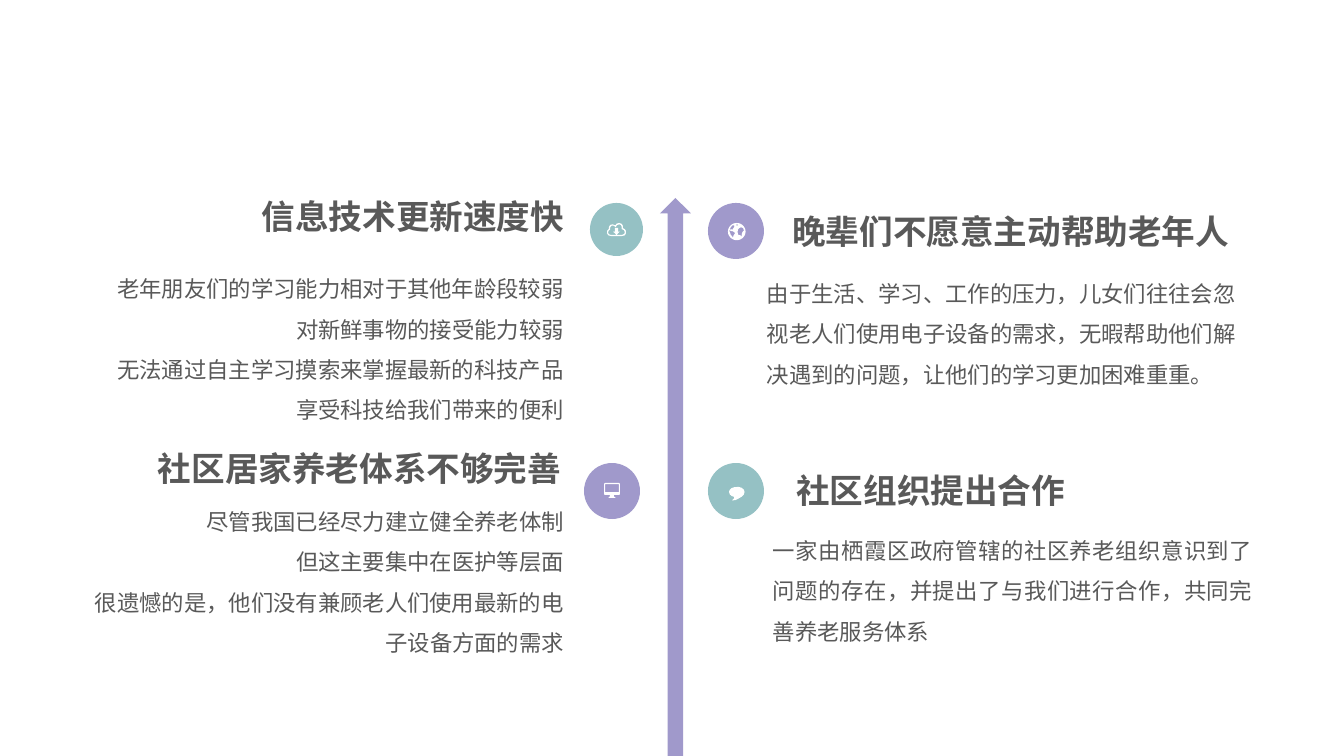
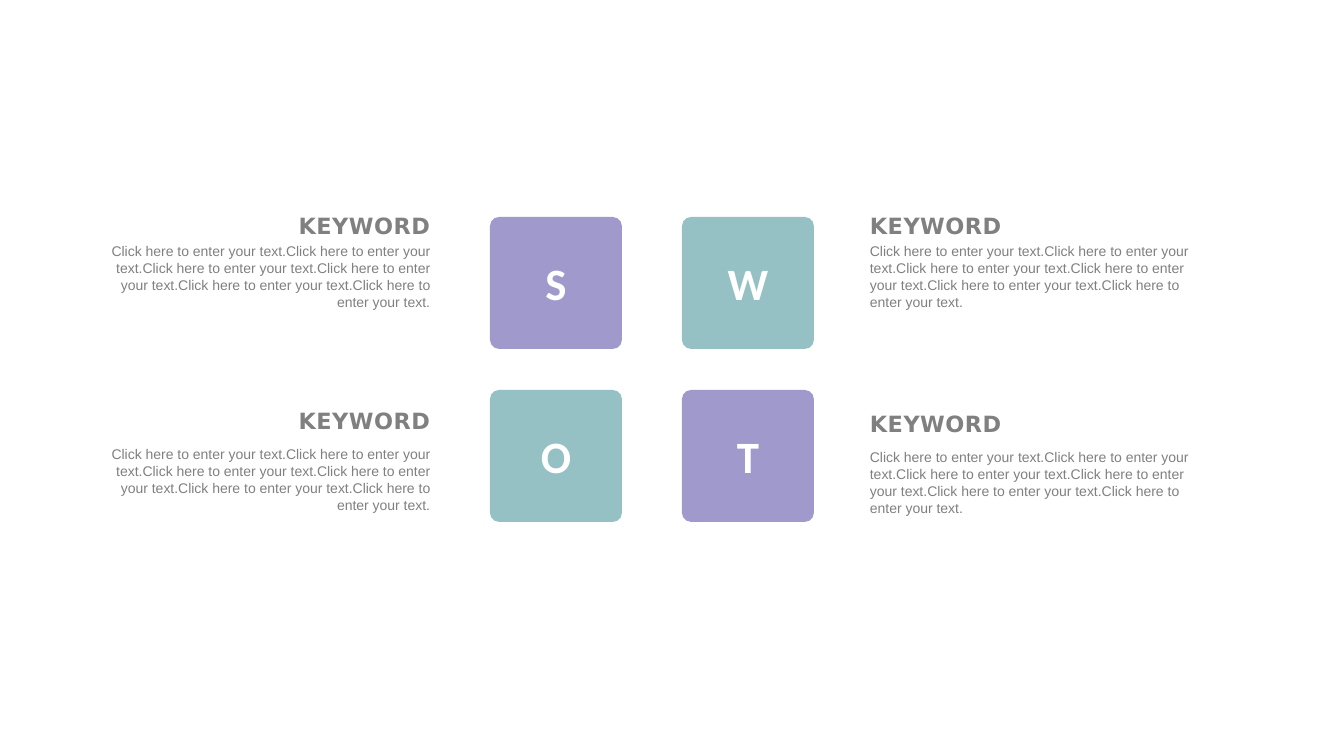
from math import cos, pi, sin

from lxml.etree import SubElement
from pptx import Presentation
from pptx.dml.color import RGBColor
from pptx.enum.shapes import MSO_SHAPE as SHAPE
from pptx.enum.text import MSO_ANCHOR as ANCHOR, MSO_AUTO_SIZE as AUTO, PP_ALIGN as ALIGN
from pptx.oxml.ns import qn
from pptx.util import Pt

PX = 914400 / 100.8
COLORS = {
    "purple": "A099CB",
    "teal": "95C1C4",
    "white": "FFFFFF",
    "dark": "595959",
    "gray": "808080",
}
CJK_FONT = "Noto Sans CJK SC"
STYLES = {
    "heading": dict(size=24, font="Calibri", color="dark", bold=True),
    "cjk_heading": dict(size=24, font=CJK_FONT, color="dark", bold=True),
    "body": dict(size=16, font="Arial", color="dark", line=1.5),
    "letter": dict(size=32, font="Calibri", color="white", bold=True),
    "keyword": dict(size=16, font="DejaVu Sans", color="gray", bold=True, tracking=40),
    "blurb": dict(size=10, font="Arial", color="gray"),
}


def paint(shape, color):
    shape.shadow.inherit = False
    shape.fill.solid()
    shape.fill.fore_color.rgb = RGBColor.from_string(COLORS[color])
    shape.line.fill.background()
    return shape


def write(shape, paragraphs, style, align, wrap=True):
    look = STYLES[style]
    frame = shape.text_frame
    frame.word_wrap = wrap
    for index, text in enumerate(paragraphs):
        paragraph = frame.paragraphs[0] if index == 0 else frame.add_paragraph()
        paragraph.alignment = align
        if "line" in look:
            paragraph.line_spacing = look["line"]
        run = paragraph.add_run()
        run.text = text
        run.font.size = Pt(look["size"])
        run.font.name = look["font"]
        run.font.bold = look.get("bold", False)
        run.font.color.rgb = RGBColor.from_string(COLORS[look["color"]])
        properties = run._r.get_or_add_rPr()
        SubElement(properties, qn("a:ea")).set("typeface", CJK_FONT)
        if "tracking" in look:
            properties.set("spc", str(look["tracking"]))


deck = Presentation()
deck.slide_width = round(1344 * PX)
deck.slide_height = round(756 * PX)
blank = deck.slide_layouts[6]

reasons = deck.slides.add_slide(blank).shapes
paint(reasons.add_shape(SHAPE.UP_ARROW, *[round(v * PX) for v in (660, 198, 31, 558)]), "purple")

cloud = [
    [(158, 52), (178, 62), (190, 80), (190, 104), (178, 124), (150, 131), (40, 131),
     (14, 124), (0, 104), (2, 78), (18, 60), (20, 40), (32, 20), (56, 14), (84, 24),
     (98, 6), (124, 0), (148, 10), (160, 30)],
    [(146, 60), (170, 72), (178, 90), (174, 108), (150, 120), (40, 120), (18, 112),
     (11, 94), (18, 76), (32, 66), (33, 42), (48, 27), (66, 28), (88, 42), (100, 22),
     (122, 14), (140, 22), (148, 40)],
    [(78, 50), (112, 50), (112, 88), (128, 88), (95, 119), (62, 88), (78, 88)],
]
globe = [
    [(round(88 + 88 * cos(step * pi / 18)), round(86 + 86 * sin(step * pi / 18)))
     for step in range(36)],
    [(48, 20), (66, 28), (58, 48), (48, 60), (42, 70), (34, 62), (20, 68), (26, 80),
     (44, 82), (64, 92), (70, 104), (56, 126), (50, 146), (40, 132), (28, 118),
     (22, 100), (14, 80), (26, 46)],
    [(100, 66), (114, 50), (132, 44), (152, 50), (160, 78), (148, 86), (140, 104),
     (134, 140), (124, 122), (104, 120), (96, 92)],
    [(78, 16), (100, 14), (92, 32)],
]
monitor = [
    [(0, 8), (8, 0), (152, 0), (160, 8), (160, 112), (152, 120), (100, 120), (100, 136),
     (114, 142), (114, 150), (46, 150), (46, 142), (60, 136), (60, 120), (8, 120), (0, 112)],
    [(12, 12), (148, 12), (148, 92), (12, 92)],
]
bubble = [
    [(155, 50), (148, 26), (126, 8), (100, 0), (78, 0), (50, 3), (24, 12), (6, 30),
     (0, 50), (8, 74), (26, 90), (50, 98), (52, 112), (30, 134), (62, 132), (94, 116),
     (126, 98), (148, 76)],
]
badges = [
    (590, 203, 53, "teal", cloud, 607, 223),
    (708, 203, 56, "purple", globe, 728, 223),
    (584, 463, 56, "purple", monitor, 604, 483),
    (708, 463, 56, "teal", bubble, 729, 487),
]
for left, top, size, color, outlines, icon_left, icon_top in badges:
    disc = [round(v * PX) for v in (left, top, size, size)]
    paint(reasons.add_shape(SHAPE.OVAL, *disc), color)
    pen = reasons.build_freeform(*outlines[0][0], scale=PX / 10)
    for outline in outlines:
        pen.move_to(*outline[0])
        pen.add_line_segments(outline[1:], close=True)
    paint(pen.convert_to_shape(round(icon_left * PX), round(icon_top * PX)), "white")

reason_texts = [
    ((248, 191, 326, 50), "heading", ALIGN.RIGHT, ["信息技术更新速度快"]),
    ((74, 257, 500, 168), "body", ALIGN.RIGHT, [
        "老年朋友们的学习能力相对于其他年龄段较弱",
        "对新鲜事物的接受能力较弱",
        "无法通过自主学习摸索来掌握最新的科技产品",
        "享受科技给我们带来的便利",
    ]),
    ((777, 206, 462, 50), "heading", ALIGN.RIGHT, ["晚辈们不愿意主动帮助老年人"]),
    ((757, 262, 500, 127), "body", ALIGN.LEFT, [
        "由于生活、学习、工作的压力，儿女们往往会忽视老人们使用电子设备的需求，"
        "无暇帮助他们解决遇到的问题，让他们的学习更加困难重重。",
    ]),
    ((144, 443, 427, 50), "heading", ALIGN.RIGHT, ["社区居家养老体系不够完善"]),
    ((74, 490, 500, 209), "body", ALIGN.RIGHT, [
        "尽管我国已经尽力建立健全养老体制",
        "但这主要集中在医护等层面",
        "很遗憾的是，他们没有兼顾老人们使用最新的电子设备方面的需求",
    ]),
    ((784, 465, 291, 50), "cjk_heading", ALIGN.RIGHT, ["社区组织提出合作"]),
    ((763, 519, 500, 127), "body", ALIGN.JUSTIFY, [
        "一家由栖霞区政府管辖的社区养老组织意识到了问题的存在，"
        "并提出了与我们进行合作，共同完善养老服务体系",
    ]),
]
for box, style, align, paragraphs in reason_texts:
    note = reasons.add_textbox(*[round(v * PX) for v in box])
    write(note, paragraphs, style, align, wrap=style == "body")
    note.text_frame.auto_size = AUTO.SHAPE_TO_FIT_TEXT

swot = deck.slides.add_slide(blank).shapes
for index, (letter, color) in enumerate(zip("SWOT", ["purple", "teal", "teal", "purple"])):
    row, column = divmod(index, 2)
    place = (490 + column * 192, 217 + row * 173, 132, 132)
    tile = paint(swot.add_shape(SHAPE.ROUNDED_RECTANGLE, *[round(v * PX) for v in place]), color)
    tile.adjustments[0] = 0.07
    tile.text_frame.vertical_anchor = ANCHOR.MIDDLE
    write(tile, [letter], "letter", ALIGN.CENTER)

blurb = "Click here to enter your text." * 6
for edge, align, keyword_top, blurb_top in [
    (860, ALIGN.LEFT, 207, 238),
    (860, ALIGN.LEFT, 405, 444),
    (440, ALIGN.RIGHT, 207, 238),
    (440, ALIGN.RIGHT, 402, 441),
]:
    for text, style, top, width, height in [
        (blurb, "blurb", blurb_top, 352, 78),
        ("KEYWORD", "keyword", keyword_top, 179, 37),
    ]:
        left = edge if align == ALIGN.LEFT else edge - width
        note = swot.add_textbox(*[round(v * PX) for v in (left, top, width, height)])
        write(note, [text], style, align)
        note.text_frame.auto_size = AUTO.SHAPE_TO_FIT_TEXT

deck.save("out.pptx")
